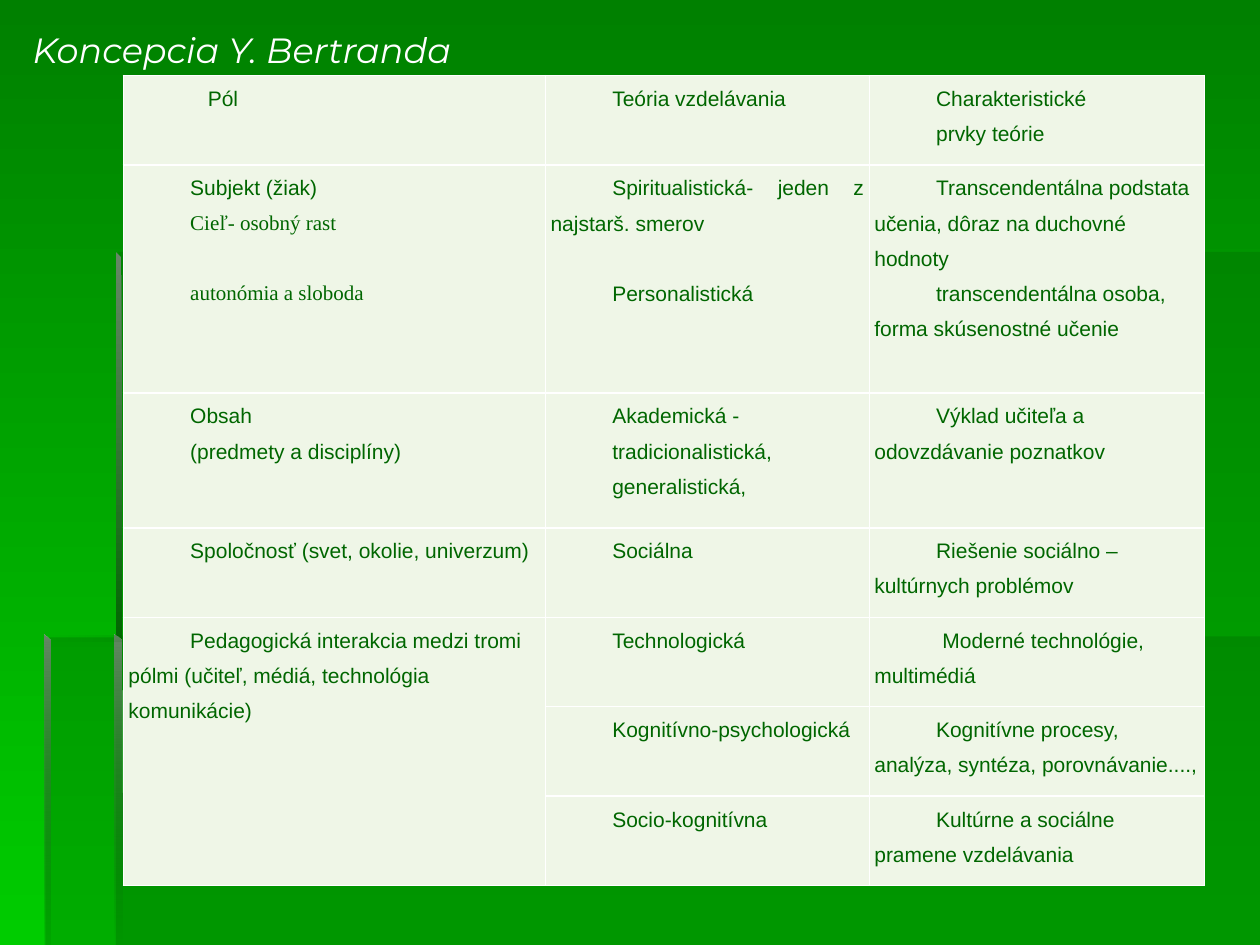
"""Build a slide with a table of educational theories after Y. Bertrand."""
from lxml import etree
from pptx import Presentation
from pptx import util as u
from pptx.dml import color
from pptx.enum import text
from pptx.oxml import ns

COLORS = {
    "top": "008000", "bottom": "00CC00", "green": "006600", "shade": "005E00",
    "edge": "668666", "cell": "EFF6E7", "white": "FFFFFF",
}
TITLE = "Koncepcia Y. Bertranda"
SERIF = {"font": "Times New Roman"}
GAP = {"before": 20}
ROWS = [
    [[("Pól", {"indent": 0.63})], ["Teória vzdelávania"],
     ["Charakteristické", "prvky teórie"]],
    [["Subjekt (žiak)", ("Cieľ- osobný rast", SERIF),
      ("autonómia a sloboda", SERIF | GAP)],
     ["Spiritualistická- jeden z najstarš. smerov", ("Personalistická", GAP)],
     ["Transcendentálna podstata učenia, dôraz na duchovné hodnoty",
      "transcendentálna osoba, forma skúsenostné učenie"]],
    [["Obsah", "(predmety a disciplíny)"],
     ["Akademická -", "tradicionalistická,", "generalistická,"],
     ["Výklad učiteľa a odovzdávanie poznatkov"]],
    [["Spoločnosť (svet, okolie, univerzum)"], ["Sociálna"],
     ["Riešenie sociálno – kultúrnych problémov"]],
    [["Pedagogická interakcia medzi tromi pólmi (učiteľ, médiá, technológia komunikácie)"],
     ["Technologická"], [("Moderné technológie, multimédiá", {"indent": 0.54})]],
    [[], ["Kognitívno-psychologická"],
     ["Kognitívne procesy, analýza, syntéza, porovnávanie....,"]],
    [[], ["Socio-kognitívna"], ["Kultúrne a sociálne pramene vzdelávania"]],
]
COLUMN_WIDTHS = [3.35, 2.57, 2.66]
ROW_HEIGHTS = [0.71, 1.81, 1.07, 0.71, 0.71, 0.71, 0.71]
PANELS = [
    [(0.92, 5.05), (0.92, 7.5), (10, 7.5), (10, 5.05)],
    [(0.94, 5.06), (0.36, 5.06), (0.36, 7.5), (10, 7.5), (10, 2), (0.94, 2)],
]
FADE_IN = {"stops": [("green", 0), ("shade", 100)], "angle": 0}
FADE_DOWN = {"stops": [("edge", 100), ("green", 100)], "angle": 90}
FADE_OUT = {"stops": [("edge", 100), ("green", 0)], "angle": 90}
FADE_MOSTLY = {"stops": [("edge", 100), ("green", 10)], "angle": 90}
EDGES = [
    ([(0.92, 2), (0.92, 2.05), (8.91, 2.05), (8.91, 2)], FADE_IN),
    ([(0.92, 2), (0.92, 5.1), (0.97, 5.1), (0.96, 2.04)], FADE_DOWN),
    ([(0.91, 7.5), (0.97, 7.5), (0.96, 5.08), (0.91, 5.04)], FADE_OUT),
    ([(0.35, 5.04), (0.35, 5.09), (5.35, 5.09), (5.35, 5.04)], FADE_IN),
    ([(0.35, 5.04), (0.35, 7.5), (0.4, 7.5), (0.4, 5.09)], FADE_MOSTLY),
]


def rgb(name):
    return color.RGBColor.from_string(COLORS[name])


def write(paragraph, content, font="Arial", size=12, ink="green", italic=False,
          indent=0.49, before=0, spacing=None, align=None):
    properties = paragraph._p.get_or_add_pPr()
    properties.set("marL", "0")
    properties.set("indent", str(u.Inches(indent)))
    paragraph.alignment = align
    if spacing:
        paragraph.line_spacing = spacing
    if before:
        paragraph.space_before = u.Pt(before)
    run = paragraph.add_run()
    run.text = content
    run.font.name, run.font.size, run.font.italic = font, u.Pt(size), italic
    run.font.color.rgb = rgb(ink)


def set_gradient(fill, stops, angle):
    fill.gradient()
    fill.gradient_angle = (360 - angle) % 360
    for stop, position, (name, _) in zip(fill.gradient_stops, (0, 1), stops):
        stop.position = position
        stop.color.rgb = rgb(name)


def set_opacity(shape, percents):
    for element, percent in zip(shape.element.iter(ns.qn("a:srgbClr")), percents):
        if percent < 100:
            etree.SubElement(element, ns.qn("a:alpha"), val=str(percent * 1000))


def add_outline(slide, points):
    corners = [(u.Inches(x), u.Inches(y)) for x, y in points]
    builder = slide.shapes.build_freeform(*corners[0])
    builder.add_line_segments(corners[1:], close=True)
    shape = builder.convert_to_shape()
    shape.shadow.inherit = False
    shape.line.fill.background()
    return shape


def add_backdrop(slide):
    set_gradient(slide.background.fill, [("top", 100), ("bottom", 100)], 90)
    for points in PANELS:
        panel = add_outline(slide, points)
        panel.fill.solid()
        panel.fill.fore_color.rgb = rgb("green")
        set_opacity(panel, [30])
    for points, gradient in EDGES:
        edge = add_outline(slide, points)
        set_gradient(edge.fill, **gradient)
        set_opacity(edge, [percent for _, percent in gradient["stops"]])


def style_cell(cell):
    cell.margin_left = cell.margin_right = u.Inches(0.04)
    cell.margin_top = cell.margin_bottom = 0
    properties = cell._tc.get_or_add_tcPr()
    for side in "LRTB":
        line = etree.SubElement(properties, ns.qn(f"a:ln{side}"), w=str(u.Pt(1)))
        fill = etree.SubElement(line, ns.qn("a:solidFill"))
        etree.SubElement(fill, ns.qn("a:srgbClr"), val=COLORS["white"])
    cell.fill.solid()
    cell.fill.fore_color.rgb = rgb("cell")


def add_theories(slide):
    frame = slide.shapes.add_table(
        len(ROWS), len(COLUMN_WIDTHS), u.Inches(0.98), u.Inches(0.6),
        u.Inches(sum(COLUMN_WIDTHS)), u.Inches(sum(ROW_HEIGHTS)))
    table = frame.table
    table.first_row = table.horz_banding = False
    for column, width in zip(table.columns, COLUMN_WIDTHS):
        column.width = u.Inches(width)
    for row, height in zip(table.rows, ROW_HEIGHTS):
        row.height = u.Inches(height)
    for r, row in enumerate(ROWS):
        for c, entries in enumerate(row):
            cell = table.cell(r, c)
            style_cell(cell)
            justified = r == 0 or c == 1 or (r, c) == (1, 0)
            align = text.PP_ALIGN.JUSTIFY if justified else text.PP_ALIGN.LEFT
            for i, entry in enumerate(entries):
                content, options = (entry, {}) if isinstance(entry, str) else entry
                body = cell.text_frame
                paragraph = body.add_paragraph() if i else body.paragraphs[0]
                write(paragraph, content, spacing=1.5, align=align, **options)
    table.cell(4, 0).merge(table.cell(6, 0))


def add_title(slide):
    box = slide.shapes.add_textbox(
        u.Inches(-0.33), u.Inches(0.18), u.Inches(4.6), u.Inches(0.74))
    box.text_frame.word_wrap = False
    box.text_frame.vertical_anchor = text.MSO_ANCHOR.TOP
    write(box.text_frame.paragraphs[0], TITLE, font="Montserrat", size=20,
          ink="white", italic=True, align=text.PP_ALIGN.LEFT)


def main():
    presentation = Presentation()
    presentation.slide_width, presentation.slide_height = u.Inches(10), u.Inches(7.5)
    slide = presentation.slides.add_slide(presentation.slide_layouts[6])
    add_backdrop(slide)
    add_theories(slide)
    add_title(slide)
    presentation.save("out.pptx")


if __name__ == "__main__":
    main()
